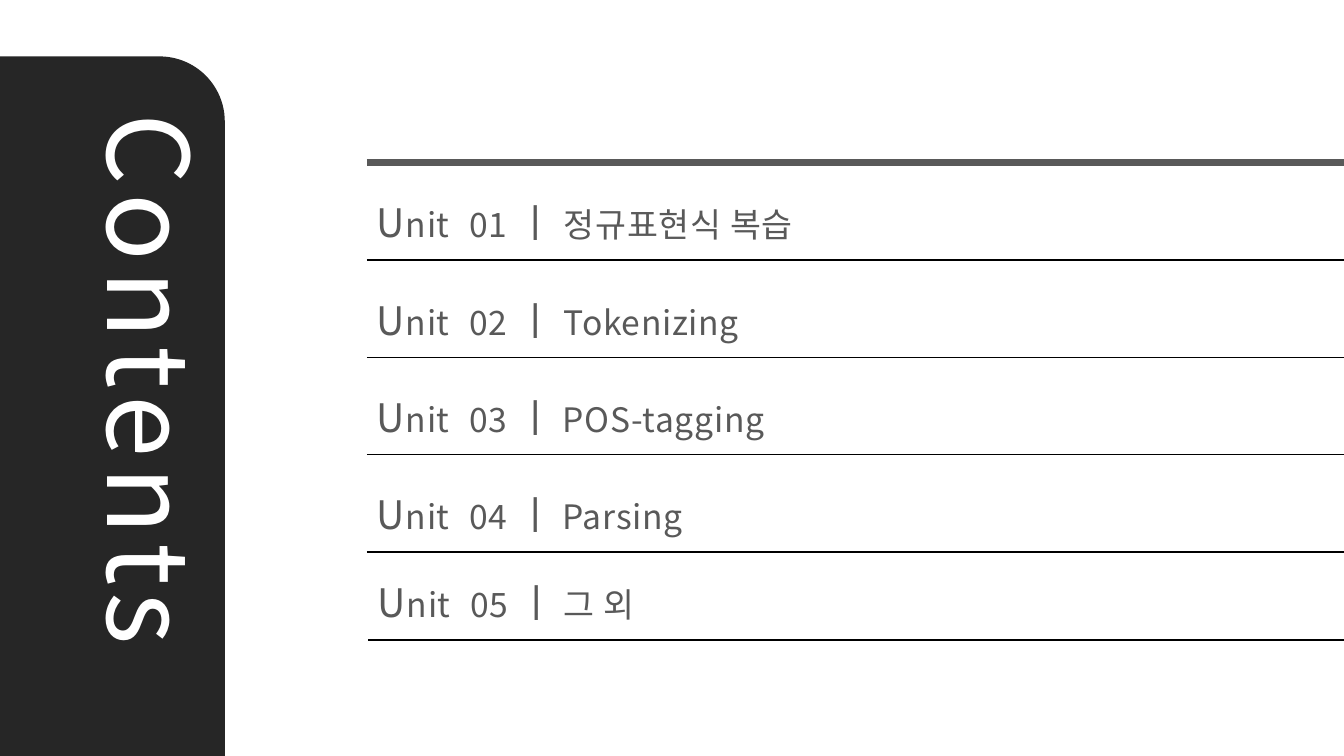
import dataclasses

import lxml.etree
import pptx
import pptx.dml.color
import pptx.enum.shapes
import pptx.enum.text
import pptx.oxml.ns
import pptx.util

Inches = pptx.util.Inches
Pt = pptx.util.Pt
qn = pptx.oxml.ns.qn


@dataclasses.dataclass(frozen=True)
class Theme:
    font: str = "Noto Sans CJK KR"
    dark: str = "262626"
    gray: str = "595959"
    black: str = "000000"
    white: str = "FFFFFF"
    title: int = 80
    large: int = 28
    small: int = 24


THEME = Theme()
LEFT = 3.64
RIGHT = 13.33
FIRST = 2.58
STEP = 0.965
UNITS = [
    ("01", " ㅣ ", "정규표현식 복습"),
    ("02", " ㅣ ", "Tokenizing"),
    ("03", " ㅣ", " POS-tagging"),
    ("04", " ㅣ", " Parsing"),
]
LAST = ("05", " ㅣ", " 그 외")


def rgb(code):
    return pptx.dml.color.RGBColor.from_string(code)


def add_text(para, text, size=THEME.small, color=THEME.gray, gap=0.5):
    run = para.add_run()
    run.text = text
    run.font.size = Pt(size)
    run.font.name = THEME.font
    run.font.color.rgb = rgb(color)
    props = run.font._element
    props.set("spc", str(round(gap * 100)))
    east = lxml.etree.SubElement(props, qn("a:ea"))
    east.set("typeface", THEME.font)


def add_rule(slide, left, top, color, width):
    rule = slide.shapes.add_connector(
        pptx.enum.shapes.MSO_CONNECTOR.STRAIGHT,
        Inches(left), Inches(top), Inches(RIGHT), Inches(top))
    rule.line.color.rgb = rgb(color)
    rule.line.width = Pt(width)
    lxml.etree.SubElement(rule._element.spPr, qn("a:effectLst"))


def add_panel(slide):
    panel = slide.shapes.add_shape(
        pptx.enum.shapes.MSO_SHAPE.ROUND_1_RECTANGLE,
        Inches(0), Inches(0.56), Inches(2.23), Inches(6.94))
    panel.adjustments[0] = 0.29
    panel.shadow.inherit = False
    panel.fill.solid()
    panel.fill.fore_color.rgb = rgb(THEME.dark)
    panel.line.fill.background()
    slide.shapes._spTree.insert(2, panel._element)


def set_title(slide, text):
    title = slide.shapes.title
    title.left, title.top = Inches(-1.98), Inches(3.79)
    title.width, title.height = Inches(6.97), Inches(1.45)
    title.rotation = 90
    frame = title.text_frame
    frame.word_wrap = True
    frame.auto_size = pptx.enum.text.MSO_AUTO_SIZE.NONE
    frame.vertical_anchor = pptx.enum.text.MSO_ANCHOR.TOP
    para = frame.paragraphs[0]
    para.alignment = pptx.enum.text.PP_ALIGN.LEFT
    add_text(para, text, size=THEME.title, color=THEME.white, gap=6)


def add_unit(slide, unit, left, base):
    number, bar, topic = unit
    box = slide.shapes.add_textbox(
        Inches(left), Inches(base - 0.76), Inches(9.43), Inches(0.77))
    frame = box.text_frame
    frame.word_wrap = True
    frame.vertical_anchor = pptx.enum.text.MSO_ANCHOR.MIDDLE
    para = frame.paragraphs[0]
    add_text(para, "U", size=THEME.large)
    add_text(para, "nit")
    add_text(para, " ", size=THEME.large, gap=7.3)
    add_text(para, number)
    add_text(para, bar, size=THEME.large)
    add_text(para, topic)
    add_rule(slide, left, base, THEME.black, 1)


def main():
    deck = pptx.Presentation()
    deck.slide_width = Inches(13.33)
    deck.slide_height = Inches(7.5)
    slide = deck.slides.add_slide(deck.slide_layouts[5])
    add_panel(slide)
    set_title(slide, "Contents")
    add_rule(slide, LEFT, FIRST - STEP, THEME.gray, 5)
    for row, unit in enumerate(UNITS):
        add_unit(slide, unit, LEFT, FIRST + row * STEP)
    add_unit(slide, LAST, 3.65, 6.35)
    deck.save("out.pptx")


if __name__ == "__main__":
    main()
